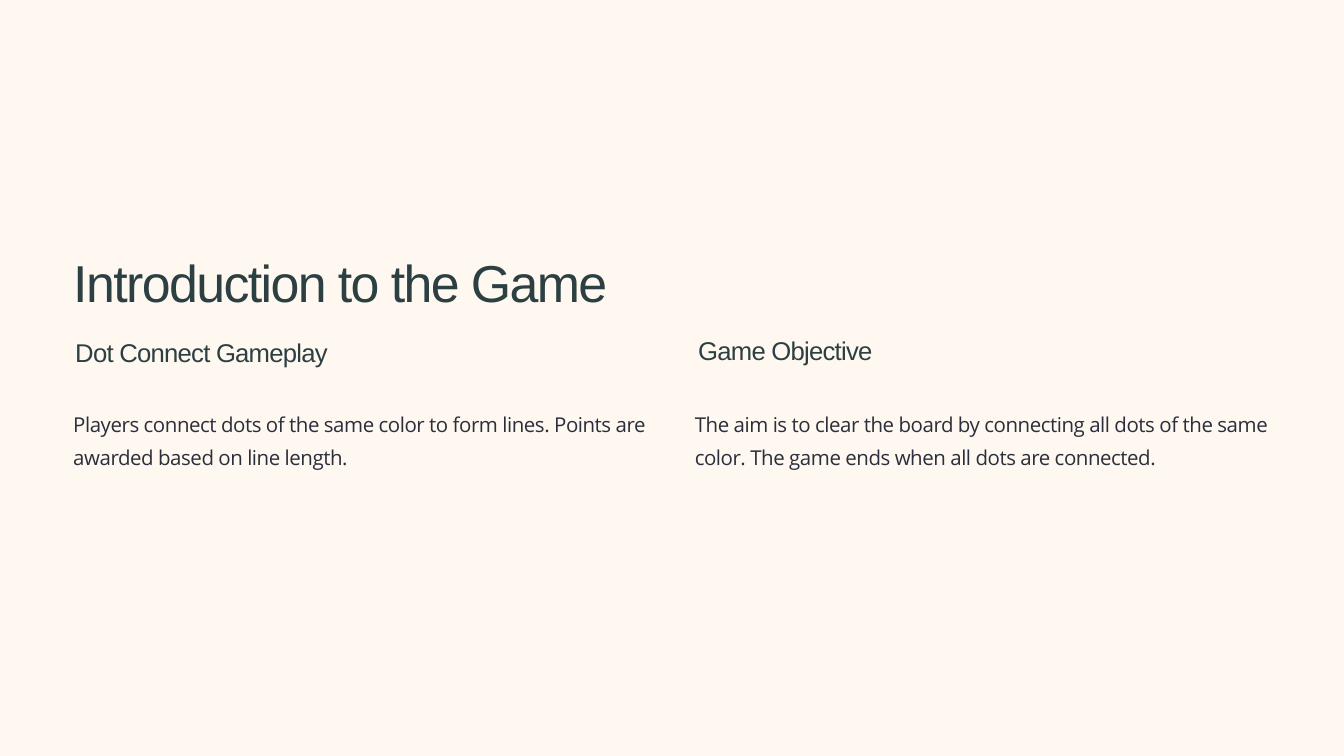
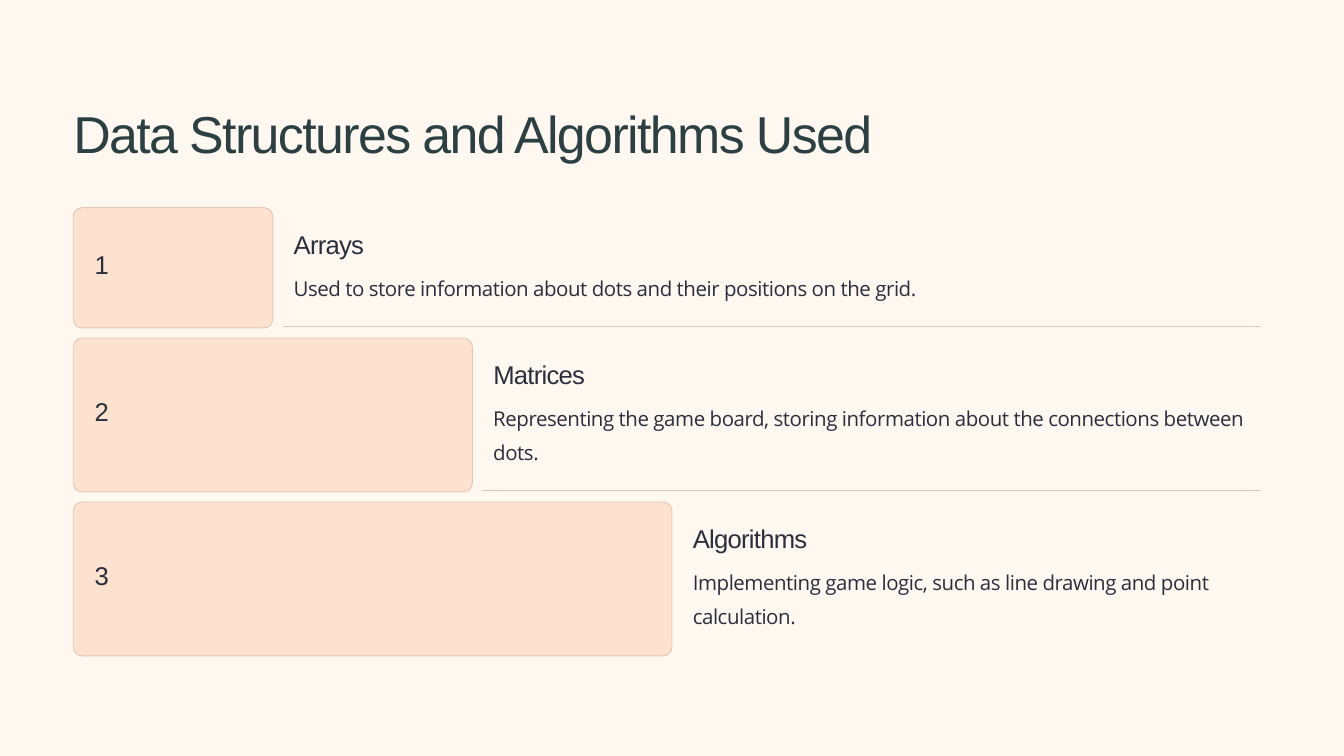
from pptx import Presentation
from pptx.dml.color import RGBColor
from pptx.enum.shapes import MSO_CONNECTOR, MSO_SHAPE
from pptx.enum.text import MSO_ANCHOR, PP_ALIGN
from pptx.oxml.ns import qn
from pptx.util import Inches, Pt

# Content
INTRO_TITLE = "Introduction to the Game"
INTRO_COLUMNS = [  # heading, heading box, body
    ("Dot Connect Gameplay", (1.12, 4.99, 4.8, 0.47),
     "Players connect dots of the same color to form lines. "
     "Points are awarded based on line length."),
    ("Game Objective", (10.39, 4.96, 3.88, 0.51),
     "The aim is to clear the board by connecting all dots of the same color. "
     "The game ends when all dots are connected."),
]
STEPS_TITLE = "Data Structures and Algorithms Used"
STEPS = [  # heading, body, lines of body, body width
    ("Arrays", "Used to store information about dots and their positions on the grid.",
     1, 9.47),
    ("Matrices", "Representing the game board, storing information about the "
     "connections between dots.", 2, 11.27),
    ("Algorithms", "Implementing game logic, such as line drawing and point calculation.",
     2, 8.29),
]

# Shared style
COLORS = {"page": "FFF8F0", "title": "2C3F42", "text": "2B2E3C",
          "card": "FCE2CF", "edge": "E2C8B5"}
TITLE = dict(size=55.6, leading=69.4, spacing=-1.7, color="title")
HEADING = dict(size=27.5, leading=34.4, spacing=-0.8)
NUMBER = dict(HEADING, leading=44.4, align=PP_ALIGN.CENTER, wrap=False)
BODY = dict(size=21.9, leading=35.6, spacing=-0.5, font="Open Sans")

# Grid, in inches
WIDTH, HEIGHT = 20, 11.25
LEFT, RIGHT = 1.09, 18.76
COLUMN_STEP, COLUMN_WIDTH = 9.25, 8.54
STEP_TOP, STEP_WIDTH, GAP = 3.09, 2.97, 0.15
LINE_HEIGHT, RADIUS = 0.5, 0.13


def rgb(name):
    return RGBColor.from_string(COLORS[name])


def add_text(slide, text, box, size, leading, spacing, color="text", font="Arial",
             align=PP_ALIGN.LEFT, wrap=True):
    tf = slide.shapes.add_textbox(*map(Inches, box)).text_frame
    tf.margin_left = tf.margin_right = tf.margin_top = tf.margin_bottom = 0
    tf.word_wrap = wrap
    tf.vertical_anchor = MSO_ANCHOR.TOP
    p = tf.paragraphs[0]
    p.alignment, p.line_spacing = align, Pt(leading)
    r = p.add_run()
    r.text = text
    r.font.name, r.font.size, r.font.color.rgb = font, Pt(size), rgb(color)
    r.font._element.set("spc", str(round(spacing * 100)))


def add_box(slide, kind, box, fill):
    sp = slide.shapes.add_shape(kind, *map(Inches, box))
    sp.shadow.inherit = False
    sp.fill.solid()
    sp.fill.fore_color.rgb = rgb(fill)
    sp.line.fill.background()
    return sp


def add_card(slide, x, y, w, h):
    sp = add_box(slide, MSO_SHAPE.ROUNDED_RECTANGLE, (x, y, w, h), "card")
    sp.adjustments[0] = RADIUS / min(w, h)
    sp.line.color.rgb, sp.line.width = rgb("edge"), Pt(1)


def add_rule(slide, x1, x2, y):
    line = slide.shapes.add_connector(MSO_CONNECTOR.STRAIGHT, *map(Inches, (x1, y, x2, y)))
    line.line.color.rgb, line.line.width = rgb("edge"), Pt(1.8)
    sp_pr = line._element.spPr
    sp_pr.append(sp_pr.makeelement(qn("a:effectLst"), {}))


def add_slide(prs, title, top, width):
    s = prs.slides.add_slide(prs.slide_layouts[6])
    add_box(s, MSO_SHAPE.RECTANGLE, (0, 0, WIDTH, HEIGHT), "page")
    add_text(s, title, (LEFT, top, width, 0.95), **TITLE)
    return s


def build_intro(prs):
    s = add_slide(prs, INTRO_TITLE, 3.69, 9.5)
    for i, (heading, box, body) in enumerate(INTRO_COLUMNS):
        add_text(s, heading, box, color="title", **HEADING)
        add_text(s, body, (LEFT + i * COLUMN_STEP, 6, COLUMN_WIDTH, 1.09), **BODY)


def build_steps(prs):
    s = add_slide(prs, STEPS_TITLE, 1.47, 13.71)
    y = STEP_TOP
    for n, (heading, body, lines, body_width) in enumerate(STEPS, 1):
        w, h = n * STEP_WIDTH, 1.29 + lines * LINE_HEIGHT
        edge = LEFT + w
        text_x = edge + 2 * GAP + 0.01
        add_card(s, LEFT, y, w, h)
        add_text(s, str(n), (1.41, y + h / 2 - 0.44, 0.2, 0.74), **NUMBER)
        add_text(s, heading, (text_x, y + 0.29, 3.88, 0.51), **HEADING)
        add_text(s, body, (text_x, y + 0.89, body_width, 0.09 + lines * LINE_HEIGHT), **BODY)
        if n < len(STEPS):
            add_rule(s, edge + GAP, RIGHT, y + h - 0.02)
        y += h + GAP


def main():
    prs = Presentation()
    prs.slide_width, prs.slide_height = Inches(WIDTH), Inches(HEIGHT)
    build_intro(prs)
    build_steps(prs)
    prs.save("out.pptx")


if __name__ == "__main__":
    main()
